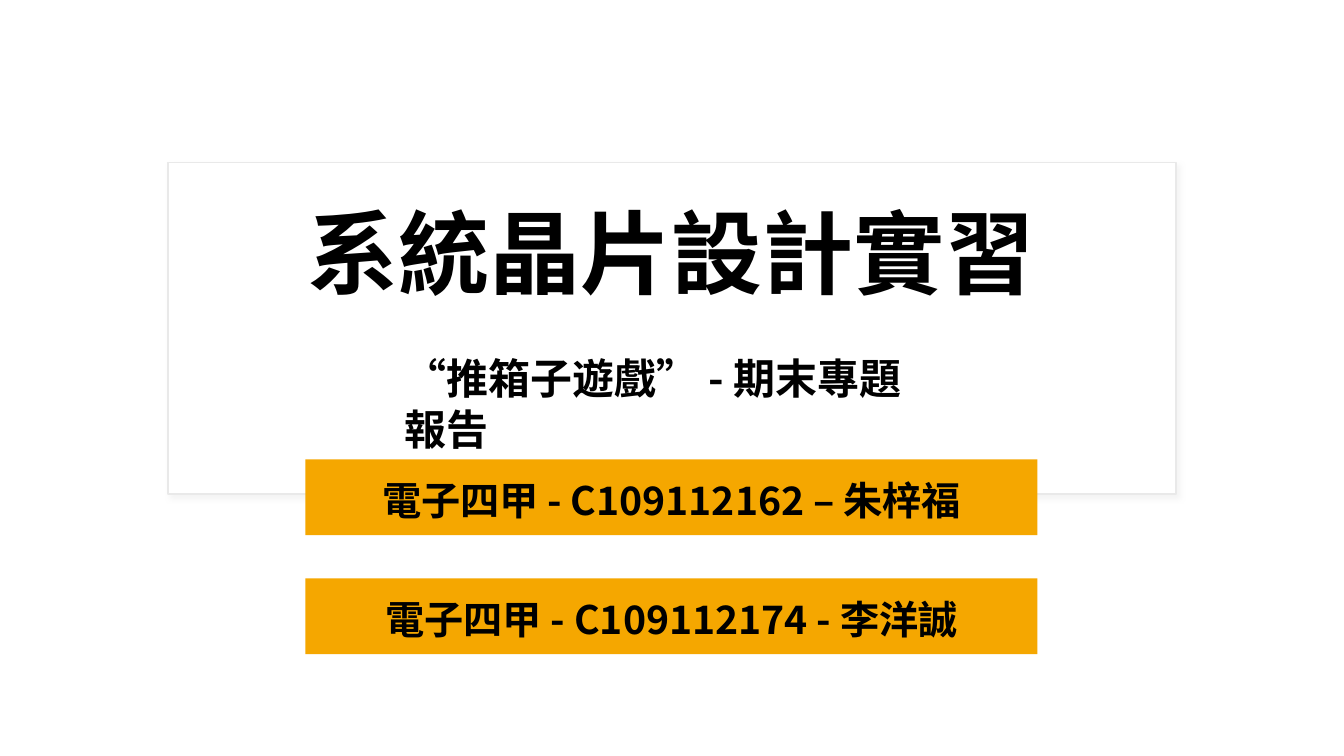
"""Build the title slide of a chip design course report."""
from dataclasses import dataclass

from lxml import etree
from pptx import Presentation, util as u
from pptx.dml.color import RGBColor
from pptx.enum import shapes, text
from pptx.oxml import ns, parse_xml

FONT = "Noto Sans CJK TC"
BLACK = RGBColor(0x00, 0x00, 0x00)
WHITE = RGBColor(0xFF, 0xFF, 0xFF)
GREY = RGBColor(0xE9, 0xE9, 0xE9)
AMBER = RGBColor(0xF5, 0xA7, 0x00)
SHADE = RGBColor(0xD9, 0xD9, 0xD9)


@dataclass
class Box:
    left: float
    top: float
    width: float
    height: float


@dataclass
class Label:
    words: str
    size: float
    align: text.PP_ALIGN = text.PP_ALIGN.CENTER
    anchor: text.MSO_ANCHOR = text.MSO_ANCHOR.MIDDLE
    lines: float = 1.0
    fit: text.MSO_AUTO_SIZE = text.MSO_AUTO_SIZE.NONE


def place(shape, box: Box) -> None:
    shape.left, shape.top = u.Pt(box.left), u.Pt(box.top)
    shape.width, shape.height = u.Pt(box.width), u.Pt(box.height)


def write(shape, label: Label) -> None:
    frame = shape.text_frame
    frame.text = label.words
    frame.word_wrap = True
    frame.auto_size = label.fit
    frame.vertical_anchor = label.anchor
    line = frame.paragraphs[0]
    line.alignment = label.align
    line.line_spacing = label.lines
    line.space_before = u.Pt(0)
    for run in line.runs:
        font = run.font
        font.name, font.size, font.bold = FONT, u.Pt(label.size), True
        font.color.rgb = BLACK
        east = etree.SubElement(font._element, ns.qn("a:ea"))
        east.set("typeface", FONT)


def paint(shape, fill: RGBColor) -> None:
    shape.fill.solid()
    shape.fill.fore_color.rgb = fill
    shape.line.fill.background()


def add_rect(slide, box: Box):
    rect = slide.shapes.add_shape(
        shapes.MSO_SHAPE.RECTANGLE, *map(u.Pt, (box.left, box.top, box.width, box.height)))
    rect.shadow.inherit = False
    return rect


def add_frame(slide, box: Box) -> None:
    frame = add_rect(slide, box)
    paint(frame, WHITE)
    frame.line.color.rgb = GREY
    frame.line.width = u.Pt(1)
    effects = frame._element.spPr.find(ns.qn("a:effectLst"))
    effects.append(parse_xml(
        f'<a:outerShdw {ns.nsdecls("a")} blurRad="{u.Pt(4)}" dist="{u.Pt(3)}" '
        f'dir="2700000" algn="tl" rotWithShape="0"><a:srgbClr val="{SHADE}">'
        '<a:alpha val="30000"/></a:srgbClr></a:outerShdw>'))
    slide.shapes._spTree.insert(2, frame._element)


def main() -> None:
    deck = Presentation()
    deck.slide_width, deck.slide_height = u.Pt(960), u.Pt(540)
    slide = deck.slides.add_slide(deck.slide_layouts[0])
    add_frame(slide, Box(120, 116, 720, 237))

    title, lead = slide.placeholders
    place(title, Box(142, 98.6, 676, 171.4))
    write(title, Label("系統晶片設計實習", 65, lines=0.9))

    first = Box(218.2, 328.2, 522.8, 54)
    next_box = Box(first.left, first.top + 85, first.width, first.height)
    place(lead, first)
    names = ("電子四甲 - C109112162 – 朱梓福", "電子四甲 - C109112174 - 李洋誠")
    for bar, name in zip((lead, add_rect(slide, next_box)), names):
        paint(bar, AMBER)
        write(bar, Label(name, 28, lines=1.1))

    topic = slide.shapes.add_textbox(*map(u.Pt, (282.2, 248.4, 396, 44)))
    write(topic, Label("“推箱子遊戲” - 期末專題報告", 30, text.PP_ALIGN.LEFT,
                       text.MSO_ANCHOR.TOP, fit=text.MSO_AUTO_SIZE.SHAPE_TO_FIT_TEXT))
    deck.save("out.pptx")


if __name__ == "__main__":
    main()
